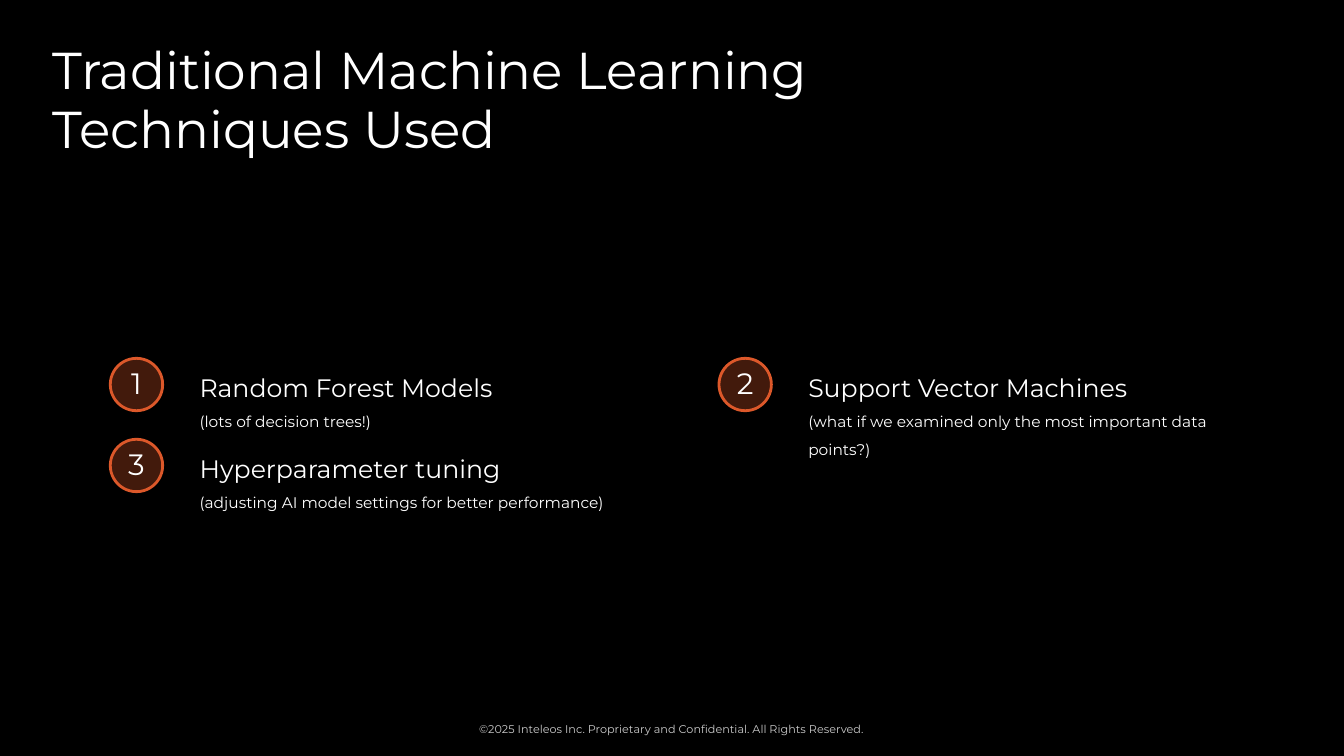
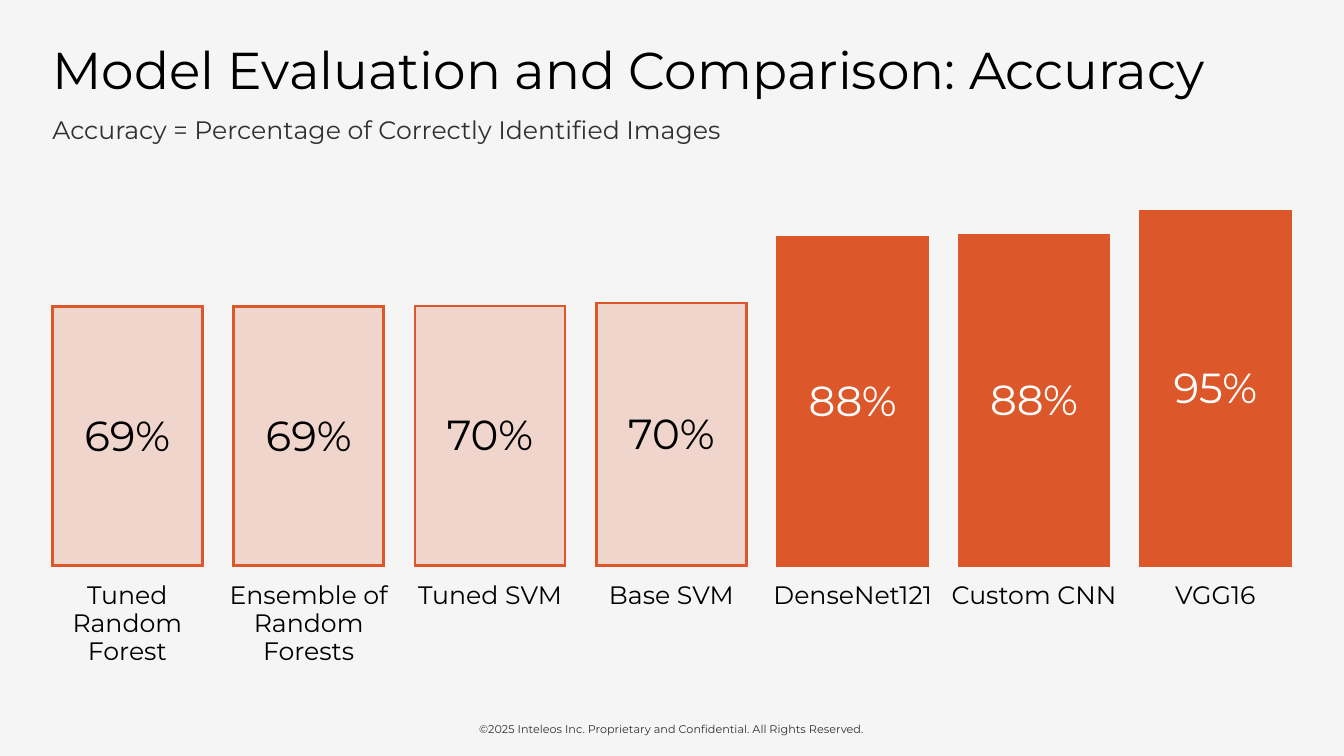
from dataclasses import dataclass

from lxml import etree
from pptx import Presentation
from pptx.dml.color import RGBColor
from pptx.dml.fill import FillFormat
from pptx.enum.shapes import MSO_SHAPE
from pptx.enum.text import MSO_ANCHOR, PP_ALIGN
from pptx.oxml.ns import qn
from pptx.util import Cm, Pt

OVAL, RECTANGLE = MSO_SHAPE.OVAL, MSO_SHAPE.RECTANGLE
TOP, MIDDLE = MSO_ANCHOR.TOP, MSO_ANCHOR.MIDDLE
LEFT, CENTER = PP_ALIGN.LEFT, PP_ALIGN.CENTER

FONT = "Montserrat"
COLORS = {
    "black": "000000",
    "white": "FFFFFF",
    "paper": "F5F5F5",
    "orange": "DC582A",
}
SLIDE_W, SLIDE_H = 33.87, 19.05
MARGIN = 1.32
FOOTER = "©2025 Inteleos Inc. Proprietary and Confidential. All Rights Reserved."

BAR_W, BAR_STEP = 3.78, 4.57
BAR_BASE = 14.26
FULL_BAR_H = 9.41
LABEL_W = 4.2


@dataclass(frozen=True)
class TextStyle:
    size: float
    leading: float
    align: PP_ALIGN = LEFT
    alpha: int = 100


@dataclass(frozen=True)
class Box:
    left: float
    top: float
    width: float
    height: float

    def lengths(self) -> tuple:
        return Cm(self.left), Cm(self.top), Cm(self.width), Cm(self.height)


@dataclass(frozen=True)
class Technique:
    name: str
    remark: str


@dataclass(frozen=True)
class Model:
    name: str
    accuracy: float
    is_neural: bool = False


TITLE = TextStyle(37, 42)
SUBTITLE = TextStyle(18, 21, alpha=80)
NAME = TextStyle(18, 20)
REMARK = TextStyle(11, 20)
NUMBER = TextStyle(21, 23, CENTER)
PERCENTAGE = TextStyle(30, 33, CENTER)
BAR_LABEL = TextStyle(18, 20, CENTER)
FOOTNOTE = TextStyle(8, 9, CENTER, 80)

TECHNIQUES = [
    Technique("Random Forest Models", "(lots of decision trees!)"),
    Technique("Support Vector Machines",
              "(what if we examined only the most important data points?)"),
    Technique("Hyperparameter tuning",
              "(adjusting AI model settings for better performance)"),
]
MODELS = [
    Model("Tuned Random Forest", 0.694),
    Model("Ensemble of Random Forests", 0.694),
    Model("Tuned SVM", 0.696),
    Model("Base SVM", 0.704),
    Model("DenseNet121", 0.88, True),
    Model("Custom CNN", 0.884, True),
    Model("VGG16", 0.95, True),
]


def paint(fill: FillFormat, color: str, alpha: int = 100) -> None:
    """Set a solid fill with the given opacity in percent."""
    fill.solid()
    fill.fore_color.rgb = RGBColor.from_string(COLORS[color])
    if alpha < 100:
        clr = fill._xPr.find(qn("a:solidFill"))[0]
        etree.SubElement(clr, qn("a:alpha"), val=str(alpha * 1000))


def write(tf, lines: list[tuple[str, TextStyle]], color: str,
          anchor: MSO_ANCHOR = TOP) -> None:
    """Fill a text frame with one paragraph per line."""
    tf.margin_left = tf.margin_right = tf.margin_top = tf.margin_bottom = 0
    tf.word_wrap = True
    tf.vertical_anchor = anchor
    for i, (text, style) in enumerate(lines):
        p = tf.add_paragraph() if i else tf.paragraphs[0]
        p.alignment = style.align
        p.line_spacing = Pt(style.leading)
        r = p.add_run()
        r.text = text
        r.font.name = FONT
        r.font.size = Pt(style.size)
        paint(r.font.fill, color, style.alpha)


def add_text(s, box: Box, lines: list[tuple[str, TextStyle]], color: str,
             anchor: MSO_ANCHOR = TOP) -> None:
    write(s.shapes.add_textbox(*box.lengths()).text_frame, lines, color, anchor)


def add_orange_shape(s, kind: MSO_SHAPE, box: Box, alpha: int, text: str,
                     style: TextStyle, color: str) -> None:
    """Add an outlined shape with a centred line of text."""
    sp = s.shapes.add_shape(kind, *box.lengths())
    sp.shadow.inherit = False
    paint(sp.fill, "orange", alpha)
    paint(sp.line.fill, "orange")
    sp.line.width = Pt(2)
    etree.SubElement(sp.line.fill._xPr, qn("a:miter"), lim="800000")
    write(sp.text_frame, [(text, style)], color, MIDDLE)


def add_slide(prs, background: str, color: str, title: str, title_width: float):
    """Add a slide with its background, title and footer."""
    s = prs.slides.add_slide(prs.slide_layouts[6])
    paint(s.background.fill, background)
    add_text(s, Box(MARGIN, 1.04, title_width, 1.5), [(title, TITLE)], color)
    add_text(s, Box(2.67, 18.21, 28.52, 0.33), [(FOOTER, FOOTNOTE)], color, MIDDLE)
    return s


def add_technique(s, left: float, top: float, number: int,
                  technique: Technique) -> None:
    add_orange_shape(s, OVAL, Box(left, top, 1.32, 1.32), 30,
                     str(number), NUMBER, "white")
    add_text(s, Box(left + 2.25, top + 0.4, 11.35, 1.37),
             [(technique.name, NAME), (technique.remark, REMARK)], "white")


def add_bar(s, left: float, model: Model) -> None:
    height = FULL_BAR_H * model.accuracy
    alpha, color = (100, "white") if model.is_neural else (20, "black")
    add_orange_shape(s, RECTANGLE, Box(left, BAR_BASE - height, BAR_W, height),
                     alpha, f"{model.accuracy:.0%}", PERCENTAGE, color)
    add_text(s, Box(left + (BAR_W - LABEL_W) / 2, BAR_BASE + 0.4, LABEL_W, 2.13),
             [(model.name, BAR_LABEL)], "black")


def techniques_slide(prs) -> None:
    s = add_slide(prs, "black", "white",
                  "Traditional Machine Learning Techniques Used", 19.79)
    for i, technique in enumerate(TECHNIQUES):
        row, col = divmod(i, 2)
        add_technique(s, 2.78 + 15.34 * col, 9.03 + 2.04 * row, i + 1, technique)


def accuracy_slide(prs) -> None:
    s = add_slide(prs, "paper", "black",
                  "Model Evaluation and Comparison: Accuracy", 31.2)
    add_text(s, Box(MARGIN, 2.9, 31.2, 0.76),
             [("Accuracy = Percentage of Correctly Identified Images", SUBTITLE)],
             "black")
    for i, model in enumerate(MODELS):
        add_bar(s, MARGIN + BAR_STEP * i, model)


def main() -> None:
    prs = Presentation()
    prs.slide_width, prs.slide_height = Cm(SLIDE_W), Cm(SLIDE_H)
    techniques_slide(prs)
    accuracy_slide(prs)
    prs.save("out.pptx")


if __name__ == "__main__":
    main()
